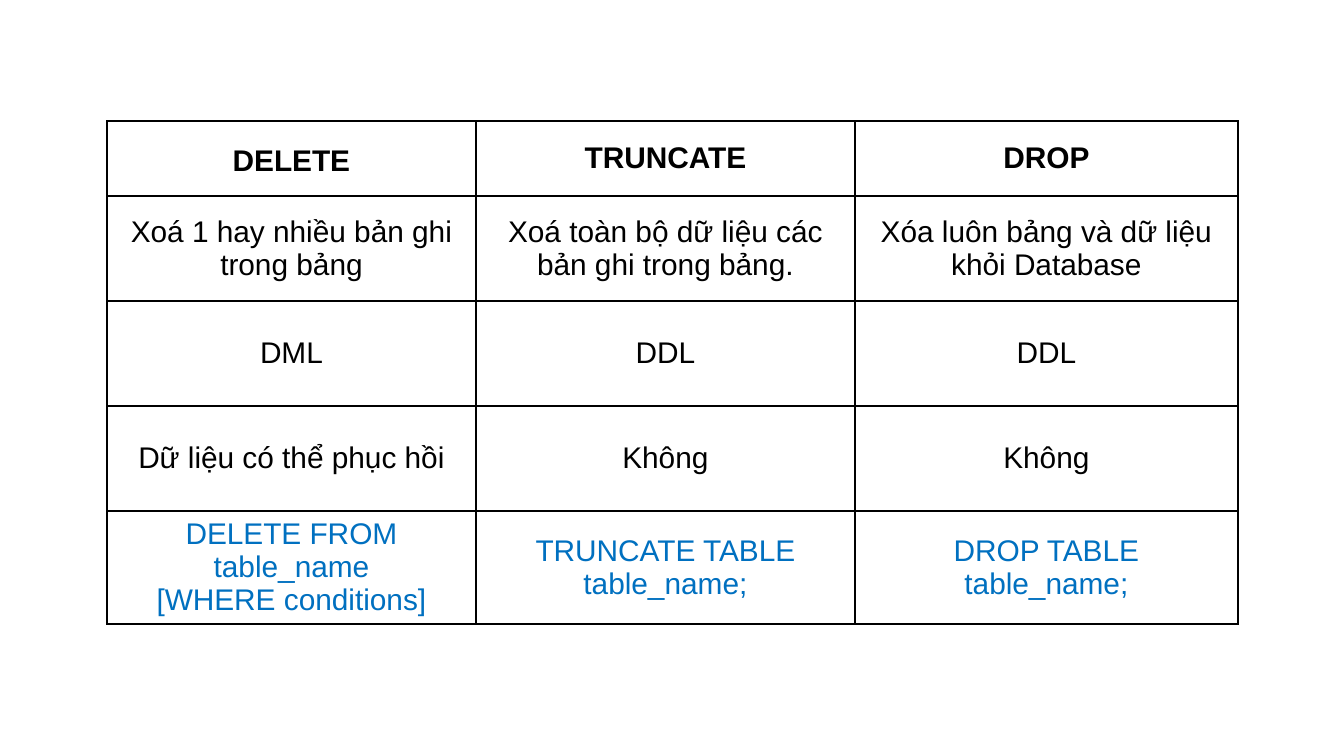
"""Build a slide comparing the SQL commands DELETE, TRUNCATE and DROP in a table."""
import pptx
import pptx.dml.color
import pptx.enum.text
import pptx.util
import lxml.etree
import pptx.oxml.ns

PX = 9144000 / 1344
COLORS = {"text": "000000", "code": "0070C0", "border": "000000"}
COLUMN_WIDTHS = [369, 379, 383]
ROW_HEIGHTS = [75, 105, 105, 105, 105]
ROWS = [
    ["DELETE", "TRUNCATE", "DROP"],
    [
        "Xoá 1 hay nhiều bản ghi trong bảng",
        "Xoá toàn bộ dữ liệu các bản ghi trong bảng.",
        "Xóa luôn bảng và dữ liệu khỏi Database",
    ],
    ["DML", "DDL", "DDL"],
    ["Dữ liệu có thể phục hồi", "Không", "Không"],
    [
        "DELETE FROM table_name\n[WHERE conditions]",
        "TRUNCATE TABLE table_name;",
        "DROP TABLE table_name;",
    ],
]


def px(length):
    return pptx.util.Emu(round(length * PX))


def add_borders(cell):
    properties = cell._tc.get_or_add_tcPr()
    for side in ("lnL", "lnR", "lnT", "lnB"):
        line = lxml.etree.SubElement(properties, pptx.oxml.ns.qn(f"a:{side}"), w=str(pptx.util.Pt(1)))
        fill = lxml.etree.SubElement(line, pptx.oxml.ns.qn("a:solidFill"))
        lxml.etree.SubElement(fill, pptx.oxml.ns.qn("a:srgbClr"), val=COLORS["border"])


presentation = pptx.Presentation()
presentation.slide_width = px(1344)
presentation.slide_height = px(756)
slide = presentation.slides.add_slide(presentation.slide_layouts[6])

frame = slide.shapes.add_table(
    len(ROWS), len(COLUMN_WIDTHS), px(107), px(121), px(sum(COLUMN_WIDTHS)), px(sum(ROW_HEIGHTS))
)
table = frame.table
table.first_row = False
table.horz_banding = False
for column, width in zip(table.columns, COLUMN_WIDTHS):
    column.width = px(width)
for row, height in zip(table.rows, ROW_HEIGHTS):
    row.height = px(height)

for row_index, texts in enumerate(ROWS):
    color = COLORS["code" if row_index == len(ROWS) - 1 else "text"]
    for column_index, text in enumerate(texts):
        cell = table.cell(row_index, column_index)
        add_borders(cell)
        cell.fill.background()
        cell.vertical_anchor = pptx.enum.text.MSO_ANCHOR.MIDDLE
        cell.text = text
        for paragraph in cell.text_frame.paragraphs:
            paragraph.alignment = pptx.enum.text.PP_ALIGN.CENTER
            paragraph.font.name = "Arial"
            paragraph.font.size = pptx.util.Pt(16)
            paragraph.font.bold = row_index == 0
            paragraph.font.color.rgb = pptx.dml.color.RGBColor.from_string(color)

delete_header = table.cell(0, 0)
delete_header.vertical_anchor = pptx.enum.text.MSO_ANCHOR.TOP
delete_header.text_frame.paragraphs[0].line_spacing = 1.5

presentation.save("out.pptx")
